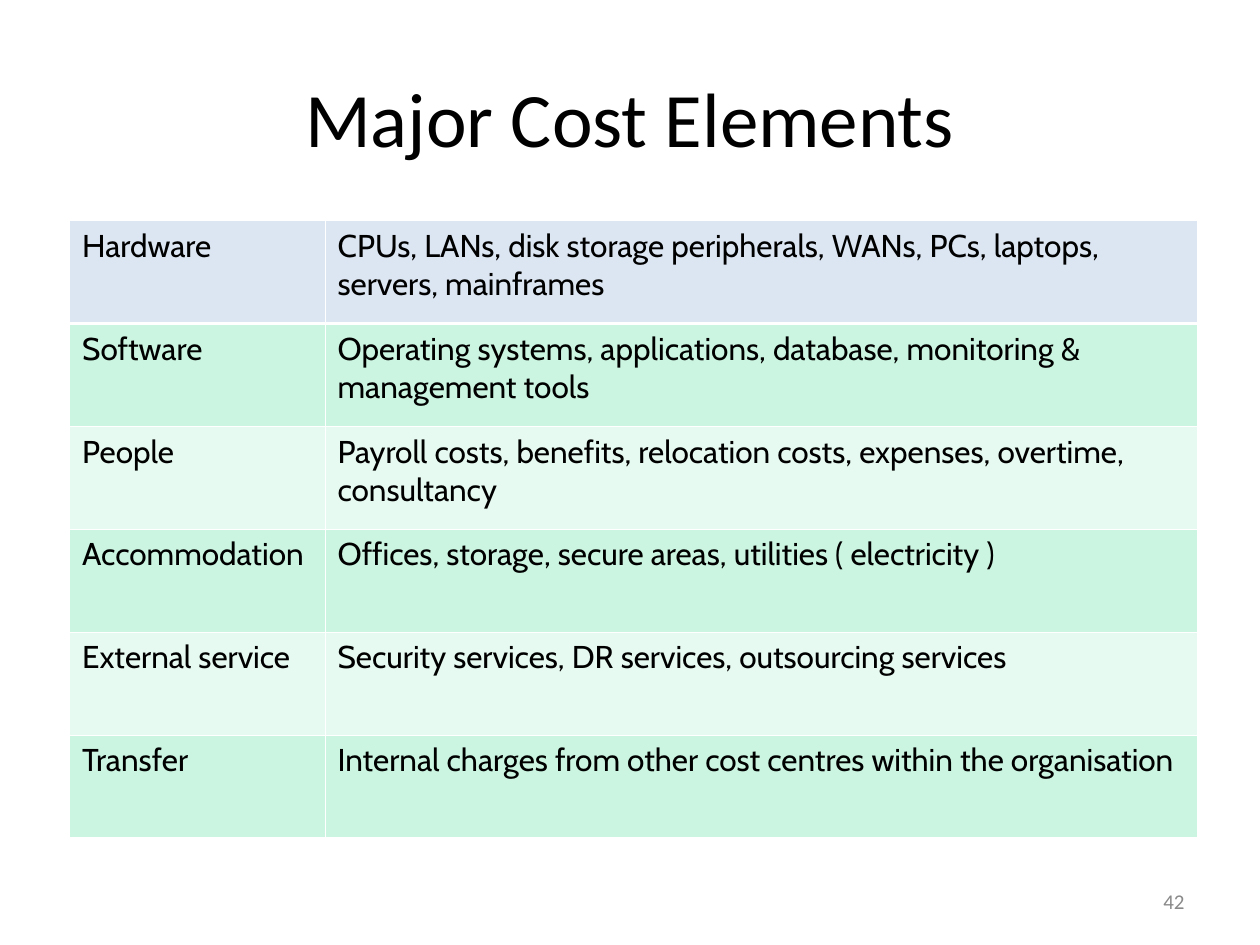
"""Build the slide that lists the major cost elements in a table."""
from lxml import etree
from pptx import Presentation
from pptx import util as u
from pptx.dml.color import RGBColor
from pptx.enum import text
from pptx.oxml import ns

COLORS = {"ink": "000000", "page": "FFFFFF", "number": "898989",
          "header": "DCE6F2", "dark": "CBF5E1", "light": "E7FAF1"}
COST_ELEMENTS = [
    ("Hardware", "CPUs, LANs, disk storage peripherals, WANs, PCs, laptops, servers, mainframes"),
    ("Software", "Operating systems, applications, database, monitoring & management tools"),
    ("People", "Payroll costs, benefits, relocation costs, expenses, overtime, consultancy"),
    ("Accommodation", "Offices, storage, secure areas, utilities ( electricity )"),
    ("External service", "Security services, DR services, outsourcing services"),
    ("Transfer", "Internal charges from other cost centres within the organisation"),
]


def write(frame, words, size, font="Calibri", color="ink",
          align=text.PP_ALIGN.LEFT, anchor=text.MSO_ANCHOR.MIDDLE):
    """Put one formatted paragraph into a text frame."""
    frame.word_wrap = True
    frame.vertical_anchor = anchor
    para = frame.paragraphs[0]
    para.alignment = align
    span = para.add_run()
    span.text = words
    span.font.size = u.Pt(size)
    span.font.name = font
    span.font.color.rgb = RGBColor.from_string(COLORS[color])


def add_border(cell, side, width):
    """Draw one white edge of a table cell."""
    line = etree.SubElement(cell._tc.get_or_add_tcPr(), ns.qn(f"a:ln{side}"), w=str(u.Pt(width)))
    fill = etree.SubElement(line, ns.qn("a:solidFill"))
    etree.SubElement(fill, ns.qn("a:srgbClr"), val=COLORS["page"])


deck = Presentation()
deck.slide_width, deck.slide_height = u.Pt(720), u.Pt(540)
page = deck.slides.add_slide(deck.slide_layouts[5])

title = page.shapes.title
title.left, title.top, title.width, title.height = u.Pt(36), u.Pt(21.6), u.Pt(648), u.Pt(90)
write(title.text_frame, "Major Cost Elements", 44, align=text.PP_ALIGN.CENTER)

table = page.shapes.add_table(len(COST_ELEMENTS), 2, u.Pt(39.75), u.Pt(126),
                              u.Pt(644.4), u.Pt(352.8)).table
table.columns[0].width, table.columns[1].width = u.Pt(146), u.Pt(498.4)
for row, words in enumerate(COST_ELEMENTS):
    table.rows[row].height = u.Pt(58.8)
    shade = "header" if row == 0 else "dark" if row % 2 else "light"
    for column, entry in enumerate(words):
        cell = table.cell(row, column)
        cell.vertical_anchor = text.MSO_ANCHOR.TOP
        write(cell.text_frame, entry, 18, font="Cabin", anchor=None)
        edges = {"L": 0.45, "R": 0.45, "T": 1.47 if row == 1 else 0.45, "B": 1.47 if row == 0 else 0.45}
        for side, width in edges.items():
            add_border(cell, side, width)
        cell.fill.solid()
        cell.fill.fore_color.rgb = RGBColor.from_string(COLORS[shade])

box = page.shapes.add_textbox(u.Pt(516), u.Pt(500.5), u.Pt(168), u.Pt(28.75))
write(box.text_frame, "42", 12, color="number", align=text.PP_ALIGN.RIGHT)

deck.save("out.pptx")
